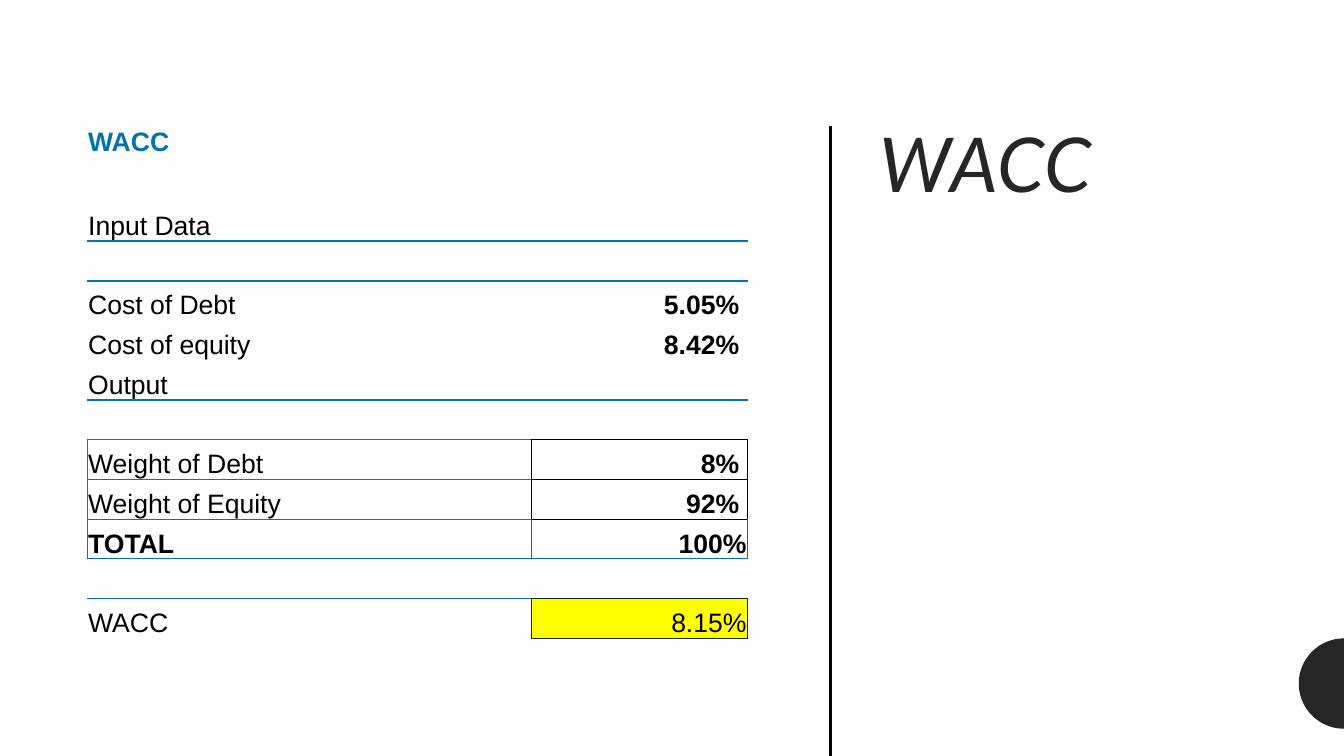
import math

import pptx
import pptx.dml.color
import pptx.enum.shapes
import pptx.enum.text
import pptx.oxml
import pptx.oxml.ns
import pptx.util

PX = 9525
COLOURS = {
    "blue": "0073B0",
    "black": "000000",
    "navy": "0E2841",
    "charcoal": "262626",
    "yellow": "FFFF00",
}
PENS = {
    "T": ("blue", 1.5),
    "b": ("blue", 0.5),
    "k": ("black", 0.5),
    "n": ("navy", 0.5),
}
SIDES = ("lnL", "lnR", "lnT", "lnB")
PLAIN = "----"
WACC_ROWS = [
    (("WACC", PLAIN), ("", PLAIN)),
    (("", PLAIN), ("", PLAIN)),
    (("Input Data", "---T"), ("", "---T")),
    (("", "--T-"), ("", "--T-")),
    (("Cost of Debt", PLAIN), ("5.05% ", PLAIN)),
    (("Cost of equity", PLAIN), ("8.42% ", PLAIN)),
    (("Output", "---T"), ("", "---T")),
    (("", "--Tb"), ("", "--Tk")),
    (("Weight of Debt", "bkbb"), ("8% ", "kkkk")),
    (("Weight of Equity", "bkbb"), ("92% ", "kkkk")),
    (("TOTAL", "bbbb"), ("100%", "bbkb")),
    (("", "--b-"), ("", "--bn")),
    (("WACC", "-n--"), ("8.15%", "nnnn")),
]


def rgb(name):
    return pptx.dml.color.RGBColor.from_string(COLOURS[name])


class WaccSlide:
    """Hold the slide and its style, and draw each kind of element."""

    def __init__(self, deck):
        self.slide = deck.slides.add_slide(deck.slide_layouts[5])
        self.shapes = self.slide.shapes
        self.table_font = "Arial"
        self.title_font = "Lato"

    def style(self, run, font, size, colour, bold=False, italic=False):
        run.font.name = font
        run.font.size = pptx.util.Pt(size)
        run.font.color.rgb = rgb(colour)
        run.font.bold = bold
        run.font.italic = italic

    def title(self, wording, left, top, width, height):
        heading = self.shapes.title
        heading.left, heading.top = left * PX, top * PX
        heading.width, heading.height = width * PX, height * PX
        frame = heading.text_frame
        frame.text = wording
        frame.word_wrap = True
        frame.auto_size = pptx.enum.text.MSO_AUTO_SIZE.NONE
        frame.vertical_anchor = pptx.enum.text.MSO_ANCHOR.TOP
        line = frame.paragraphs[0]
        line.alignment = pptx.enum.text.PP_ALIGN.LEFT
        line.line_spacing = 0.9
        self.style(line.runs[0], self.title_font, 54, "charcoal", italic=True)
        line.runs[0]._r.get_or_add_rPr().set("spc", "100")

    def divider(self, x, top, bottom):
        rule = self.shapes.add_connector(
            pptx.enum.shapes.MSO_CONNECTOR.STRAIGHT, x * PX, top * PX, x * PX, bottom * PX
        )
        rule.line.color.rgb = rgb("black")
        rule.line.width = pptx.util.Pt(1.5)
        pptx.oxml.ns.qn("a:effectLst")
        rule._element.spPr.append(
            pptx.oxml.parse_xml(f"<a:effectLst {pptx.oxml.ns.nsdecls('a')}/>")
        )

    def half_disc(self, centre_x, centre_y, radius, steps=48):
        arc = [
            (
                (centre_x - radius * math.sin(math.pi * step / steps)) * PX,
                (centre_y - radius * math.cos(math.pi * step / steps)) * PX,
            )
            for step in range(steps + 1)
        ]
        outline = self.shapes.build_freeform(*arc[0])
        outline.add_line_segments(arc[1:], close=True)
        disc = outline.convert_to_shape()
        disc.shadow.inherit = False
        disc.fill.solid()
        disc.fill.fore_color.rgb = rgb("charcoal")
        disc.line.fill.background()

    def borders(self, cell, codes):
        properties = cell._tc.get_or_add_tcPr()
        for side, code in zip(SIDES, codes):
            if code in PENS:
                colour, points = PENS[code]
                properties.append(pptx.oxml.parse_xml(
                    f'<a:{side} {pptx.oxml.ns.nsdecls("a")} w="{pptx.util.Pt(points)}">'
                    f'<a:solidFill><a:srgbClr val="{COLOURS[colour]}"/></a:solidFill>'
                    f"</a:{side}>"
                ))

    def cell(self, cell, wording, codes, row, column):
        first, last = row == 0, row == len(WACC_ROWS) - 1
        cell.margin_left = cell.margin_right = cell.margin_top = PX
        cell.margin_bottom = 0
        anchors = pptx.enum.text.MSO_ANCHOR
        cell.vertical_anchor = anchors.MIDDLE if first else anchors.BOTTOM
        self.borders(cell, codes)
        if column and last:
            cell.fill.solid()
            cell.fill.fore_color.rgb = rgb("yellow")
        else:
            cell.fill.background()
        if wording:
            cell.text_frame.text = wording
            line = cell.text_frame.paragraphs[0]
            sides = pptx.enum.text.PP_ALIGN
            line.alignment = sides.RIGHT if column else sides.LEFT
            bold = first or wording == "TOTAL" or (column == 1 and not last)
            self.style(line.runs[0], self.table_font, 19, "blue" if first else "black", bold)

    def table(self, rows, left, top, widths, height):
        grid = self.shapes.add_table(
            len(rows), len(widths), left * PX, top * PX, sum(widths) * PX, height * PX
        ).table
        grid.first_row = grid.horz_banding = False
        style_id = grid._tbl.tblPr.find(pptx.oxml.ns.qn("a:tableStyleId"))
        style_id.text = "{2D5ABB26-0587-4C30-8999-92F81FD0307C}"
        for column, width in zip(grid.columns, widths):
            column.width = width * PX
        for r, entries in enumerate(rows):
            grid.rows[r].height = height * PX // len(rows)
            for c, (wording, codes) in enumerate(entries):
                self.cell(grid.cell(r, c), wording, codes, r, c)


def main():
    deck = pptx.Presentation()
    deck.slide_width, deck.slide_height = 1280 * PX, 720 * PX
    page = WaccSlide(deck)
    page.title("WACC", 828, 116, 364, 330)
    page.divider(791, 120, 720)
    page.half_disc(1280, 651, 43)
    page.table(WACC_ROWS, 83, 116, (423, 206), 492)
    deck.save("out.pptx")


if __name__ == "__main__":
    main()
